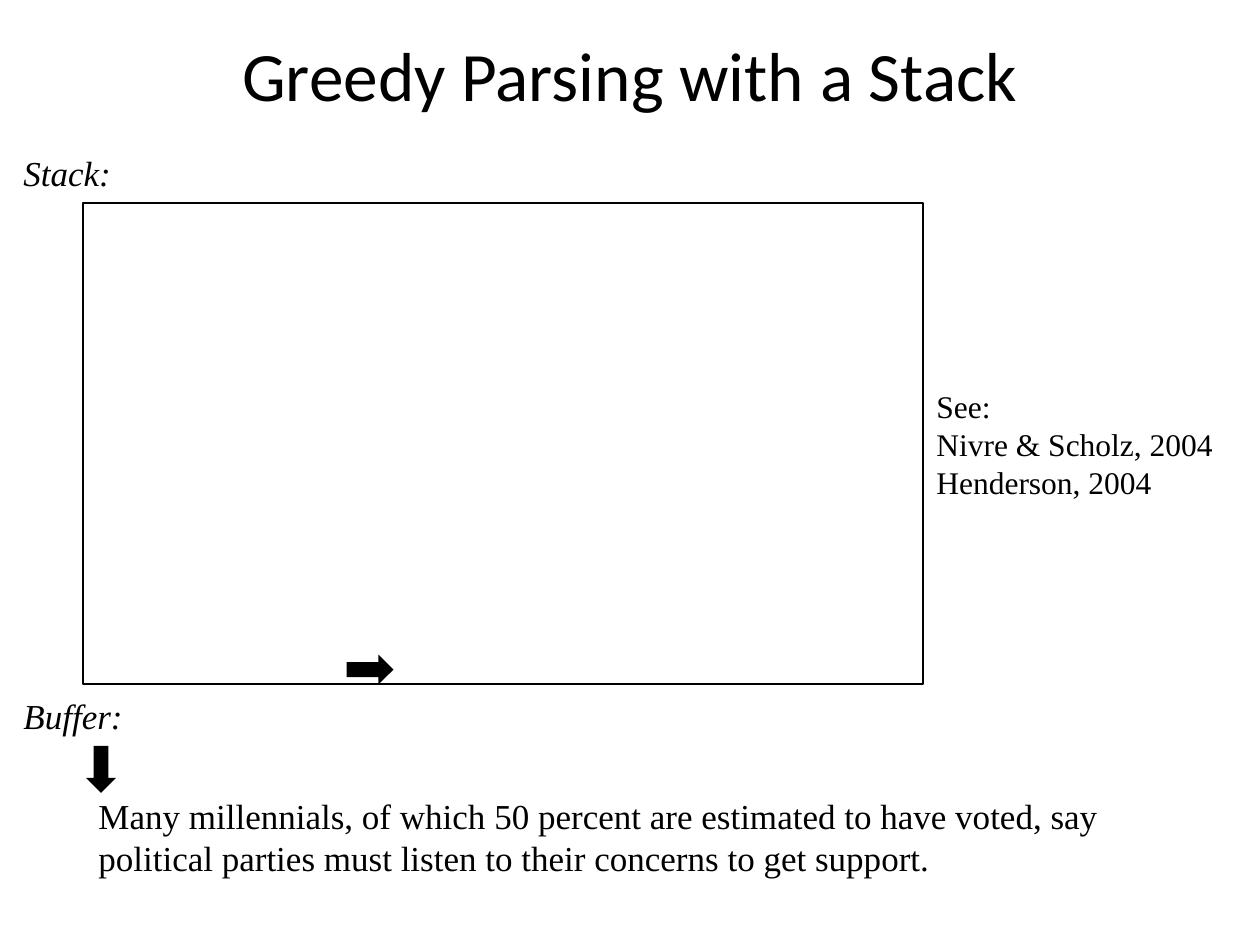
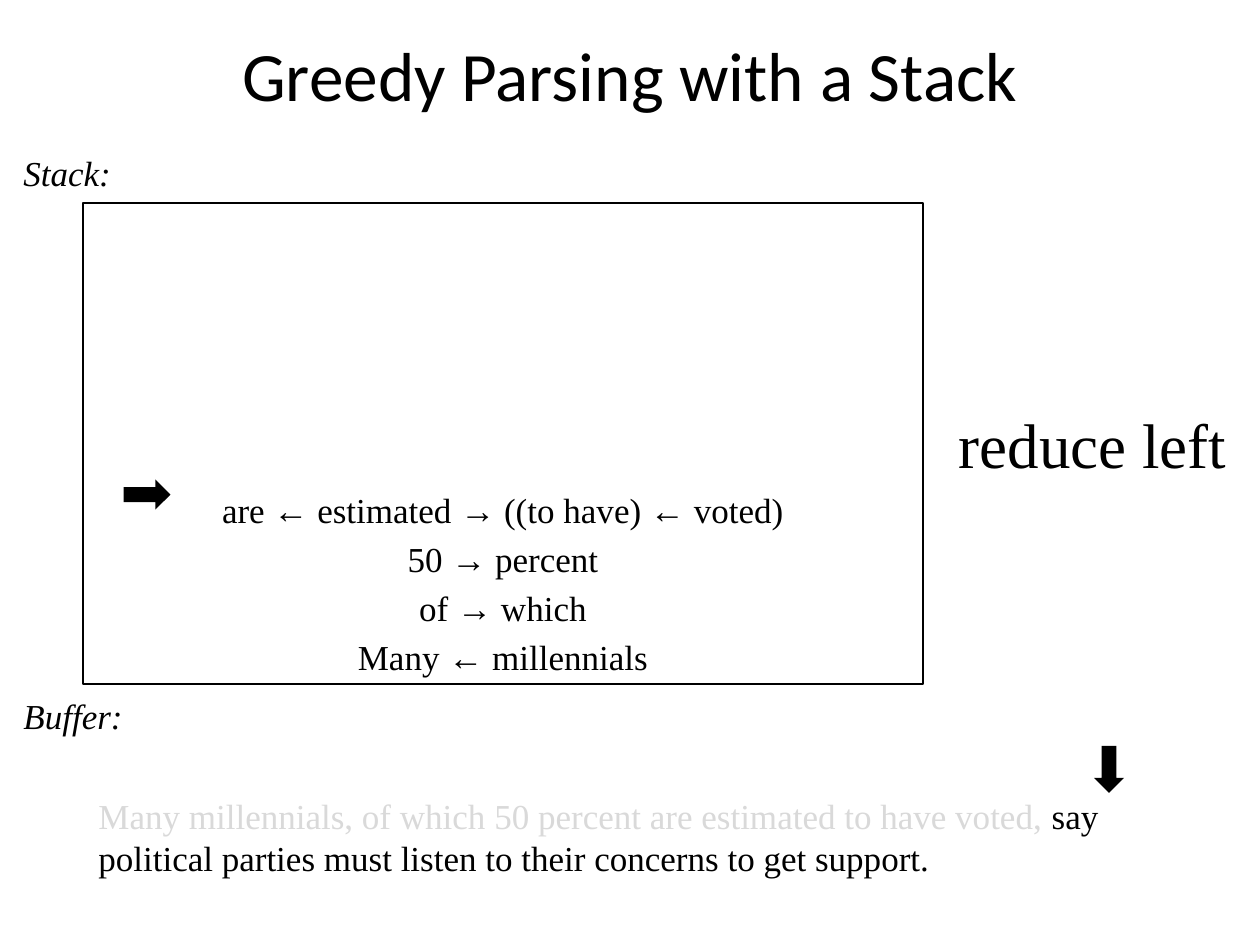
from collections import namedtuple

from pptx import Presentation
from pptx.dml.color import RGBColor
from pptx.enum.shapes import MSO_SHAPE
from pptx.enum.text import MSO_ANCHOR, MSO_AUTO_SIZE, PP_ALIGN
from pptx.util import Emu, Pt

DOWN_ARROW, RECTANGLE = MSO_SHAPE.DOWN_ARROW, MSO_SHAPE.RECTANGLE
LEFT, CENTER = PP_ALIGN.LEFT, PP_ALIGN.CENTER
MIDDLE, BOTTOM = MSO_ANCHOR.MIDDLE, MSO_ANCHOR.BOTTOM
FIT_SHAPE = MSO_AUTO_SIZE.SHAPE_TO_FIT_TEXT

BLACK = RGBColor(0x00, 0x00, 0x00)
READ_GRAY = RGBColor(0xD9, 0xD9, 0xD9)
TITLE_FONT, BODY_FONT = "Calibri", "Times New Roman"
BODY_SIZE = 20

PX_PER_INCH = 126
EMU_PER_PX = 914400 / PX_PER_INCH

Box = namedtuple("Box", "left top width height")
SLIDE_WIDTH, SLIDE_HEIGHT = 1260, 945
TITLE_BOX = Box(63, 24, 1134, 100)
STACK_BOX = Box(83, 203, 840, 481)
BUFFER_BOX = Box(86, 788, 1134, 105)
LABEL_LEFT, LABEL_WIDTH, LABEL_HEIGHT = 11, 135, 53
ARROW_WIDTH, ARROW_HEIGHT = 30, 47

TITLE = "Greedy Parsing with a Stack"
READ_WORDS = "Many millennials, of which 50 percent are estimated to have voted,"
UNREAD_WORDS = " say political parties must listen to their concerns to get support."


def px(length):
    return Emu(round(length * EMU_PER_PX))


def emu_box(box):
    return [px(length) for length in box]


def style(paragraph, size=BODY_SIZE, align=LEFT, font_name=BODY_FONT, color=BLACK):
    paragraph.alignment = align
    paragraph.font.name = font_name
    paragraph.font.size = Pt(size)
    if color is not None:
        paragraph.font.color.rgb = color


def write_lines(frame, lines, size=BODY_SIZE, align=LEFT, gap=0):
    for index, line in enumerate(lines):
        paragraph = frame.paragraphs[0] if index == 0 else frame.add_paragraph()
        paragraph.text = line
        style(paragraph, size, align)
        if index and gap:
            paragraph.space_before = Pt(gap)


def add_text_frame(slide, box, wrap=True):
    frame = slide.shapes.add_textbox(*emu_box(box)).text_frame
    frame.word_wrap = wrap
    return frame


def add_title(slide, box):
    title = slide.shapes.title
    title.left, title.top, title.width, title.height = emu_box(box)
    title.text_frame.text = TITLE
    title.text_frame.vertical_anchor = MIDDLE
    style(title.text_frame.paragraphs[0], 39.6, CENTER, TITLE_FONT)


def add_label(slide, text, top):
    frame = add_text_frame(slide, Box(LABEL_LEFT, top, LABEL_WIDTH, LABEL_HEIGHT))
    write_lines(frame, [text])
    frame.paragraphs[0].font.italic = True


def add_arrow(slide, left, top, rotation=0):
    box = Box(left, top, ARROW_WIDTH, ARROW_HEIGHT)
    arrow = slide.shapes.add_shape(DOWN_ARROW, *emu_box(box))
    arrow.shadow.inherit = False
    arrow.fill.solid()
    arrow.fill.fore_color.rgb = BLACK
    arrow.line.fill.background()
    arrow.rotation = rotation


def add_stack(slide, box, entries, pointer):
    """Draw the stack; pointer is the arrow's offset from the box corner."""
    add_label(slide, "Stack:", box.top - 58)
    stack = slide.shapes.add_shape(RECTANGLE, *emu_box(box))
    stack.shadow.inherit = False
    stack.fill.background()
    stack.line.color.rgb = BLACK
    stack.line.width = Pt(0.75)
    stack.text_frame.vertical_anchor = BOTTOM
    write_lines(stack.text_frame, entries, align=CENTER, gap=4)
    add_arrow(slide, box.left + pointer[0], box.top + pointer[1], rotation=270)


def add_buffer(slide, box, read_color, pointer_offset):
    """Draw the sentence; the arrow marks the next unread word."""
    add_label(slide, "Buffer:", box.top - 100)
    paragraph = add_text_frame(slide, box).paragraphs[0]
    style(paragraph, color=None)
    for words, color in ((READ_WORDS, read_color), (UNREAD_WORDS, BLACK)):
        run = paragraph.add_run()
        run.text = words
        run.font.color.rgb = color
    add_arrow(slide, box.left + pointer_offset, box.top - 42)


def add_side_note(slide, box, lines, size, align):
    frame = add_text_frame(slide, box, wrap=False)
    frame.auto_size = FIT_SHAPE
    write_lines(frame, lines, size, align)


def add_parser_slide(presentation, entries, stack_pointer, read_color,
                     buffer_pointer, note):
    slide = presentation.slides.add_slide(
        presentation.slide_layouts.get_by_name("Title Only"))
    add_title(slide, TITLE_BOX)
    add_buffer(slide, BUFFER_BOX, read_color, buffer_pointer)
    add_stack(slide, STACK_BOX, entries, stack_pointer)
    add_side_note(slide, *note)


def main():
    presentation = Presentation()
    presentation.slide_width = px(SLIDE_WIDTH)
    presentation.slide_height = px(SLIDE_HEIGHT)

    references = ["See:", "Nivre & Scholz, 2004", "Henderson, 2004"]
    add_parser_slide(
        presentation, [], (272, 443), BLACK, 0,
        (Box(924, 381, 323, 127), references, 18, LEFT))

    parsed_phrases = [
        "are ← estimated → ((to have) ← voted)",
        "50 → percent",
        "of → which",
        "Many ← millennials",
    ]
    add_parser_slide(
        presentation, parsed_phrases, (49, 268), READ_GRAY, 1008,
        (Box(937, 399, 311, 89), ["reduce left"], 36, CENTER))

    presentation.save("out.pptx")


if __name__ == "__main__":
    main()
